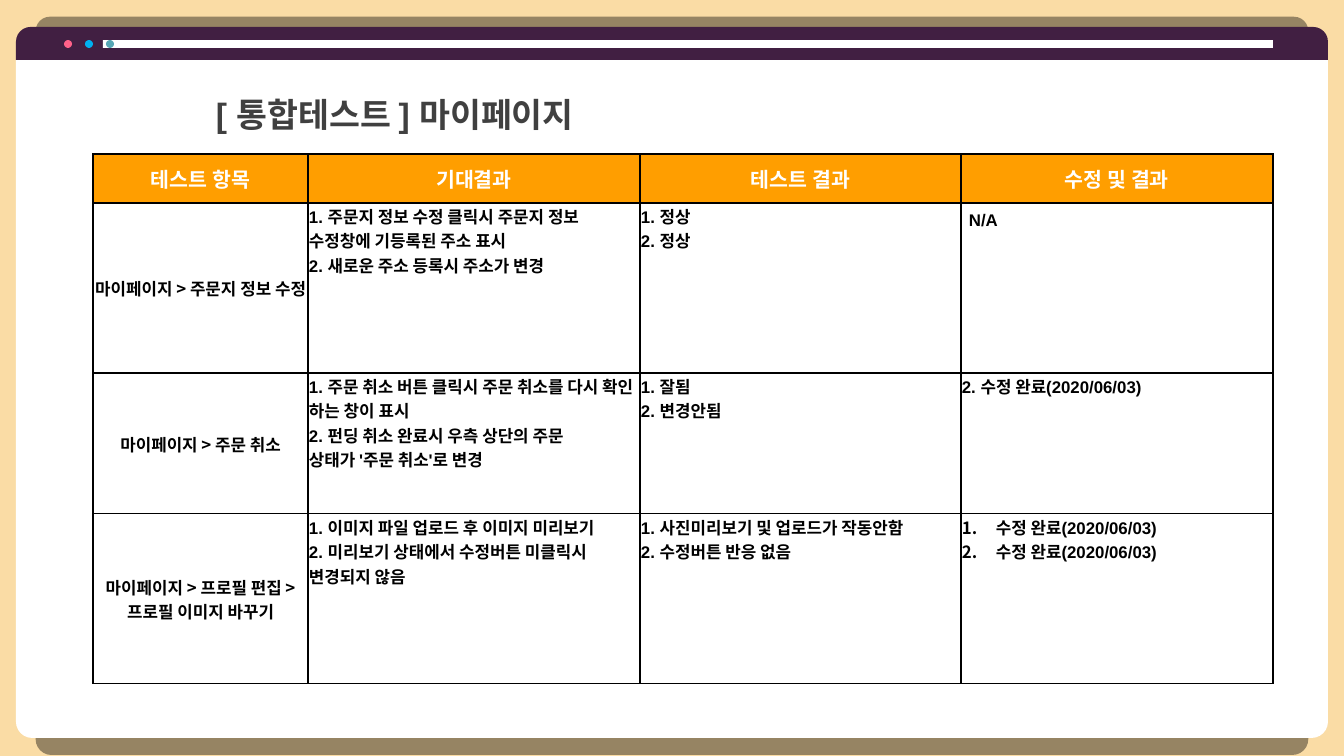
from lxml import etree
from pptx import Presentation
from pptx.dml.color import RGBColor
from pptx.enum.shapes import MSO_SHAPE
from pptx.enum.text import MSO_ANCHOR, PP_ALIGN
from pptx.oxml.ns import qn
from pptx.util import Emu, Pt

PX = 914400 / 134.4
RECT = MSO_SHAPE.RECTANGLE
OVAL = MSO_SHAPE.OVAL
ROUND_TOP = MSO_SHAPE.ROUND_2_SAME_RECTANGLE
TOP, MIDDLE = MSO_ANCHOR.TOP, MSO_ANCHOR.MIDDLE
LEFT, CENTER = PP_ALIGN.LEFT, PP_ALIGN.CENTER
LATIN, KOREAN = "Arial", "Noto Sans CJK KR"
SAND, PLUM, ORANGE = "FADCA5", "411F42", "FF9E00"
WHITE, BLACK, GRAY = "FFFFFF", "000000", "404040"

HEADERS = ["테스트 항목", "기대결과", "테스트 결과", "수정 및 결과"]
ROWS = [
    ["마이페이지 > 주문지 정보 수정",
     ["1. 주문지 정보 수정 클릭시 주문지 정보 수정창에 기등록된 주소 표시",
      "2. 새로운 주소 등록시 주소가 변경"],
     ["1. 정상", "2. 정상"],
     ["N/A"]],
    ["마이페이지 > 주문 취소",
     ["1. 주문 취소 버튼 클릭시 주문 취소를 다시 확인 하는 창이 표시",
      "2. 펀딩 취소 완료시 우측 상단의 주문 상태가 '주문 취소'로 변경"],
     ["1. 잘됨", "2. 변경안됨"],
     ["2. 수정 완료(2020/06/03)"]],
    ["마이페이지 > 프로필 편집 > 프로필 이미지 바꾸기",
     ["1. 이미지 파일 업로드 후 이미지 미리보기",
      "2. 미리보기 상태에서 수정버튼 미클릭시 변경되지 않음"],
     ["1. 사진미리보기 및 업로드가 작동안함", "2. 수정버튼 반응 없음"],
     ["수정 완료(2020/06/03)", "수정 완료(2020/06/03)"]],
]
COLUMN_WIDTHS = [215, 332, 321, 312]
ROW_HEIGHTS = [49, 170, 141, 170]


def px(length):
    return Emu(round(length * PX))


def color(hex_text):
    return RGBColor.from_string(hex_text)


def add_child(parent, tag, **attributes):
    child = etree.SubElement(parent, qn(tag))
    for name, value in attributes.items():
        child.set(name, str(value))
    return child


class SlideBuilder:
    """Holds the shared style and the slide being drawn."""

    border_points = 0.75

    def __init__(self, slide):
        self.slide = slide

    def background(self, fill):
        self.slide.background.fill.solid()
        self.slide.background.fill.fore_color.rgb = color(fill)

    def shape(self, kind, left, top, width, height, fill, adjustments=()):
        shape = self.slide.shapes.add_shape(
            kind, px(left), px(top), px(width), px(height))
        shape.shadow.inherit = False
        shape.fill.solid()
        shape.fill.fore_color.rgb = color(fill)
        shape.line.fill.background()
        for index, value in enumerate(adjustments):
            shape.adjustments[index] = value
        return shape

    def shadow(self, shape, distance, degrees, anchor):
        """Add a sharp shadow, slightly smaller than the shape."""
        effects = shape._element.spPr.find(qn("a:effectLst"))
        shadow = add_child(effects, "a:outerShdw", blurRad=0, dist=Pt(distance),
                           dir=degrees * 60000, sx=97000, sy=97000,
                           algn=anchor, rotWithShape=0)
        shade = add_child(shadow, "a:srgbClr", val=BLACK)
        add_child(shade, "a:alpha", val=40000)

    def span(self, para, text, size, ink, latin):
        span = para.add_run()
        span.text = text
        font = span.font
        font.size, font.bold, font.name = Pt(size), True, latin
        font.color.rgb = color(ink)
        add_child(font._element, "a:ea", typeface=KOREAN)

    def title(self, left, top, width, height, text):
        box = self.slide.shapes.add_textbox(
            px(left), px(top), px(width), px(height))
        frame = box.text_frame
        frame.word_wrap = True
        frame.margin_left = frame.margin_right = px(9)
        frame.margin_top = frame.margin_bottom = px(5)
        para = frame.paragraphs[0]
        para.line_spacing = 1.5
        self.span(para, text, 18, GRAY, LATIN)

    def table(self, left, top, widths, heights):
        frame = self.slide.shapes.add_table(
            len(heights), len(widths), px(left), px(top),
            px(sum(widths)), px(sum(heights)))
        table = frame.table
        for column, width in zip(table.columns, widths):
            column.width = px(width)
        for row, height in zip(table.rows, heights):
            row.height = px(height)
        return table

    def borders(self, cell):
        properties = cell._tc.get_or_add_tcPr()
        for index, side in enumerate(("a:lnL", "a:lnR", "a:lnT", "a:lnB")):
            line = etree.Element(qn(side), w=str(Pt(self.border_points)))
            fill = add_child(line, "a:solidFill")
            add_child(fill, "a:srgbClr", val=BLACK)
            properties.insert(index, line)

    def number(self, para):
        properties = para._p.get_or_add_pPr()
        properties.set("marL", str(px(34)))
        properties.set("indent", str(-px(34)))
        bullet_color = add_child(properties, "a:buClr")
        add_child(bullet_color, "a:srgbClr", val=BLACK)
        add_child(properties, "a:buFont", typeface=KOREAN)
        add_child(properties, "a:buAutoNum", type="arabicPeriod")

    def cell(self, cell, lines, margins=(1, 1, 1, 0), fill=WHITE, ink=BLACK,
             size=9, latin=LATIN, anchor=TOP, align=LEFT, numbered=False):
        cell.fill.solid()
        cell.fill.fore_color.rgb = color(fill)
        (cell.margin_left, cell.margin_top,
         cell.margin_right, cell.margin_bottom) = map(px, margins)
        cell.vertical_anchor = anchor
        self.borders(cell)
        frame = cell.text_frame
        for index, text in enumerate(lines):
            para = frame.add_paragraph() if index else frame.paragraphs[0]
            para.alignment = align
            if numbered:
                self.number(para)
            self.span(para, text, size, ink, latin)


def main():
    deck = Presentation()
    deck.slide_width, deck.slide_height = px(1344), px(756)
    page = SlideBuilder(deck.slides.add_slide(deck.slide_layouts[6]))
    page.background(SAND)

    window = page.shape(ROUND_TOP, 16, 60, 1312, 678, WHITE, (0, 0.024))
    page.shadow(window, 20, 90, "t")
    title_bar = page.shape(ROUND_TOP, 16, 27, 1312, 33, PLUM, (0.447, 0))
    page.shadow(title_bar, 6, 270, "b")
    page.shape(RECT, 103, 40, 1170, 8, WHITE)
    for index, fill in enumerate(("FF6189", "00B0F0", "57A7B5")):
        page.shape(OVAL, 64 + 21 * index, 40, 8, 8, fill)

    page.title(207, 69, 1114, 71, "[ 통합테스트 ] 마이페이지")

    table = page.table(93, 154, COLUMN_WIDTHS, ROW_HEIGHTS)
    centered = {"latin": KOREAN, "anchor": MIDDLE, "align": CENTER}
    for column, header in enumerate(HEADERS):
        page.cell(table.cell(0, column), [header], (0, 0, 0, 0),
                  ORANGE, WHITE, 11, **centered)
    for row, (item, expected, result, fix) in enumerate(ROWS, start=1):
        page.cell(table.cell(row, 0), [item], **centered)
        page.cell(table.cell(row, 1), expected)
        page.cell(table.cell(row, 2), result)
        margins = (8, 8, 8, 8) if fix == ["N/A"] else (1, 1, 1, 0)
        page.cell(table.cell(row, 3), fix, margins, numbered=len(fix) > 1)

    deck.save("out.pptx")


if __name__ == "__main__":
    main()
